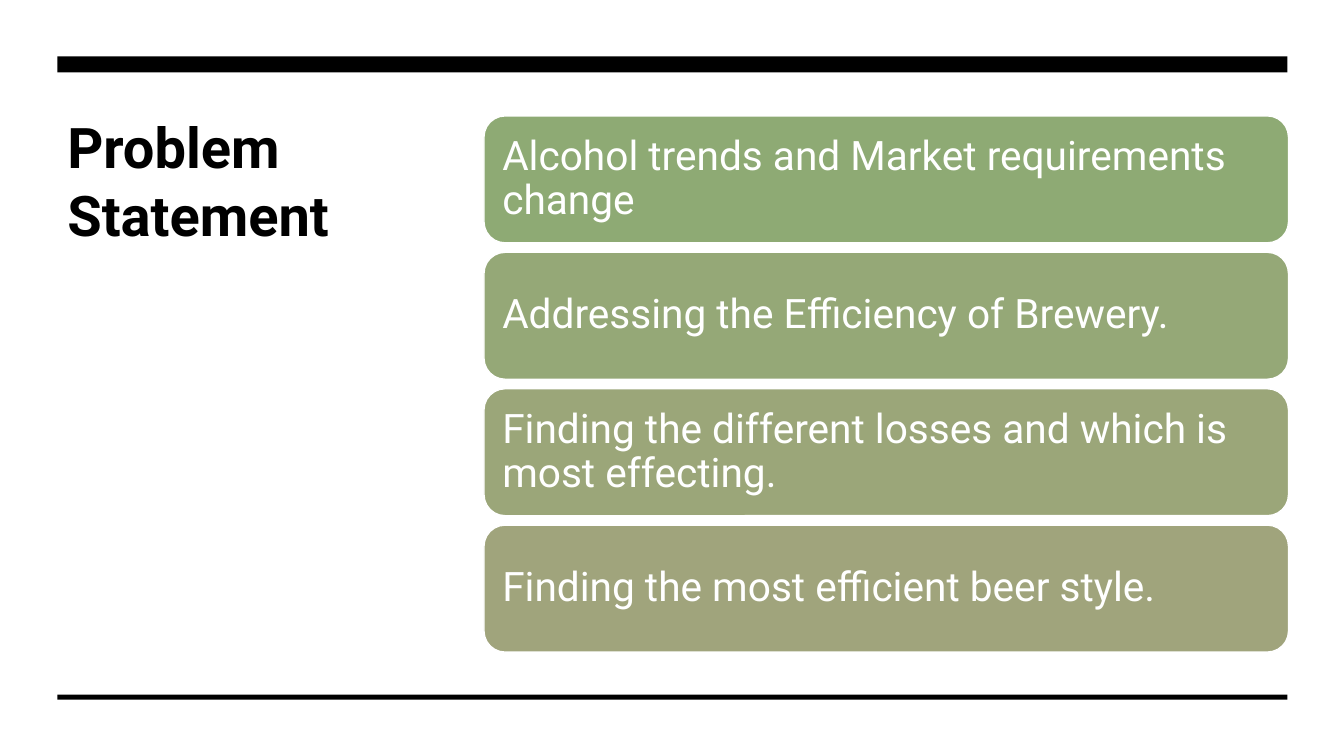
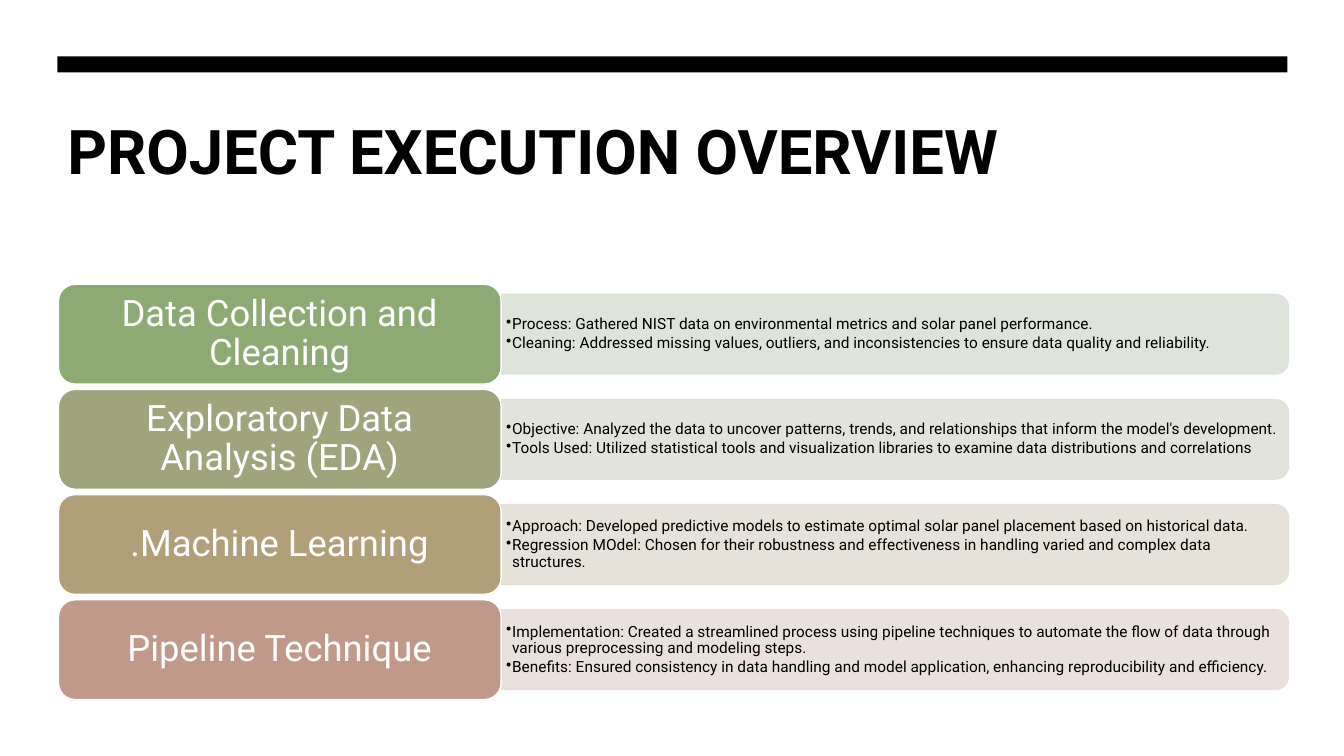
from lxml import etree
from pptx import Presentation
from pptx.dml.color import RGBColor
from pptx.enum.shapes import MSO_SHAPE
from pptx.enum.text import MSO_ANCHOR, PP_ALIGN
from pptx.oxml.ns import qn
from pptx.util import Inches, Pt

RECTANGLE = MSO_SHAPE.RECTANGLE
ROUNDED = MSO_SHAPE.ROUNDED_RECTANGLE
ROUNDED_TOP = MSO_SHAPE.ROUND_2_SAME_RECTANGLE
TOP, MIDDLE = MSO_ANCHOR.TOP, MSO_ANCHOR.MIDDLE
LEFT, CENTER = PP_ALIGN.LEFT, PP_ALIGN.CENTER

FONT = "Roboto"
BLACK, WHITE = "000000", "FFFFFF"
MARGIN, CONTENT_WIDTH = 0.57, 12.2

PROBLEM_TITLE = "Problem Statement"
PROBLEMS = [
    ("Alcohol trends and Market requirements change", "8EAA74"),
    ("Addressing the Efficiency of Brewery.", "95A877"),
    ("Finding the different losses and which is most effecting.", "9BA679"),
    ("Finding the most efficient beer style.", "A0A47C"),
]

OVERVIEW_TITLE = "PROJECT EXECUTION OVERVIEW"
STAGES = [
    ("Data Collection and Cleaning", "8EAA74", "DBE2D6", [
        "Process: Gathered NIST data on environmental metrics and solar panel performance.",
        "Cleaning: Addressed missing values, outliers, and inconsistencies to ensure data "
        "quality and reliability.",
    ]),
    ("Exploratory Data Analysis (EDA)", "A0A47C", "DFE0D7", [
        "Objective: Analyzed the data to uncover patterns, trends, and relationships that "
        "inform the model's development.",
        "Tools Used: Utilized statistical tools and visualization libraries to examine data "
        "distributions and correlations",
    ]),
    (".Machine Learning", "B19F79", "E4DFD7", [
        "Approach: Developed predictive models to estimate optimal solar panel placement "
        "based on historical data.",
        "Regression MOdel: Chosen for their robustness and effectiveness in handling varied "
        "and complex data structures.",
    ]),
    ("Pipeline Technique", "C0998B", "E8DEDA", [
        "Implementation: Created a streamlined process using pipeline techniques to automate "
        "the flow of data through various preprocessing and modeling steps.",
        "Benefits: Ensured consistency in data handling and model application, enhancing "
        "reproducibility and efficiency.",
    ]),
]


def color(hex_value):
    return RGBColor.from_string(hex_value)


def set_attributes(target, values):
    for name, value in values.items():
        setattr(target, name, value)


def add_block(page, kind, left, top, width, height, fill, outline=None):
    block = page.shapes.add_shape(
        kind, Inches(left), Inches(top), Inches(width), Inches(height))
    block.shadow.inherit = False
    block.fill.solid()
    block.fill.fore_color.rgb = color(fill)
    if outline:
        block.line.color.rgb = color(outline)
        block.line.width = Pt(1)
    else:
        block.line.fill.background()
    return block


def add_text_box(page, left, top, width, height):
    return page.shapes.add_textbox(
        Inches(left), Inches(top), Inches(width), Inches(height))


def write(box, lines, size, ink, side=0.1, edge=0.05, anchor=MIDDLE,
          align=LEFT, spacing=0.9, bold=False):
    """Fill a shape with one paragraph per line; side and edge are insets in inches."""
    frame = box.text_frame
    set_attributes(frame, {
        "word_wrap": True, "vertical_anchor": anchor,
        "margin_left": Inches(side), "margin_right": Inches(side),
        "margin_top": Inches(edge), "margin_bottom": Inches(edge),
    })
    for index, line in enumerate(lines):
        para = frame.add_paragraph() if index else frame.paragraphs[0]
        set_attributes(para, {"alignment": align, "line_spacing": spacing})
        span = para.add_run()
        span.text = line
        set_attributes(span.font, {"name": FONT, "size": Pt(size), "bold": bold})
        span.font.color.rgb = color(ink)


def add_bullets(box):
    for para in box.text_frame.paragraphs:
        para.space_after = Pt(1.5)
        properties = para._p.get_or_add_pPr()
        properties.set("marL", str(Inches(0.06)))
        properties.set("indent", str(-Inches(0.06)))
        etree.SubElement(properties, qn("a:buChar")).set("char", "•")


def make_translucent(block, percent):
    for fill in block._element.spPr.iter(qn("a:srgbClr")):
        etree.SubElement(fill, qn("a:alpha")).set("val", str(percent * 1000))


def row_tops(first, last_bottom, height, count):
    step = (last_bottom - height - first) / (count - 1)
    return [first + index * step for index in range(count)]


def add_page(deck, title, size, width, height):
    """Add a page with the thick top band and its title."""
    page = deck.slides.add_slide(deck.slide_layouts[6])
    add_block(page, RECTANGLE, MARGIN, 0.56, CONTENT_WIDTH, 0.16, BLACK)
    box = add_text_box(page, MARGIN, 1.07, width, height)
    write(box, [title], size, BLACK, anchor=TOP, spacing=1.0, bold=True)
    return page


def build_problem_page(deck):
    page = add_page(deck, PROBLEM_TITLE, 40, 3.45, 4.45)
    add_block(page, RECTANGLE, MARGIN, 6.89, CONTENT_WIDTH, 0.05, BLACK)
    height = 1.26
    tops = row_tops(1.15, 6.47, height, len(PROBLEMS))
    for top, (problem, fill) in zip(tops, PROBLEMS):
        card = add_block(page, ROUNDED, 4.8, top, 7.98, height, fill, WHITE)
        write(card, [problem], 29, WHITE, side=0.12, edge=0.12)


def add_detail(page, left, center, tint, details):
    """Add a bar rounded on its right end, with bullets over it."""
    width, height = 7.81, 0.79
    # The preset rounds its top corners, so a quarter turn rounds the right ones.
    bar = add_block(page, ROUNDED_TOP, left + (width - height) / 2,
                    center - width / 2, height, width, tint, tint)
    bar.rotation = 90
    make_translucent(bar, 90)
    box = add_text_box(page, left, center - 0.36, 7.77, 0.72)
    write(box, details, 11, BLACK, side=0.05, edge=0.02)
    add_bullets(box)


def build_overview_page(deck):
    page = add_page(deck, OVERVIEW_TITLE, 44, CONTENT_WIDTH, 1.6)
    left, width, height = 0.58, 4.39, 0.99
    tops = row_tops(2.82, 6.94, height, len(STAGES))
    for top, (stage, fill, tint, details) in zip(tops, STAGES):
        add_detail(page, left + width, top + height / 2, tint, details)
        label = add_block(page, ROUNDED, left, top, width, height, fill, WHITE)
        write(label, [stage], 26, WHITE, side=0.11, align=CENTER)


def main():
    deck = Presentation()
    deck.slide_width, deck.slide_height = Inches(13.33), Inches(7.5)
    build_problem_page(deck)
    build_overview_page(deck)
    deck.save("out.pptx")


if __name__ == "__main__":
    main()
